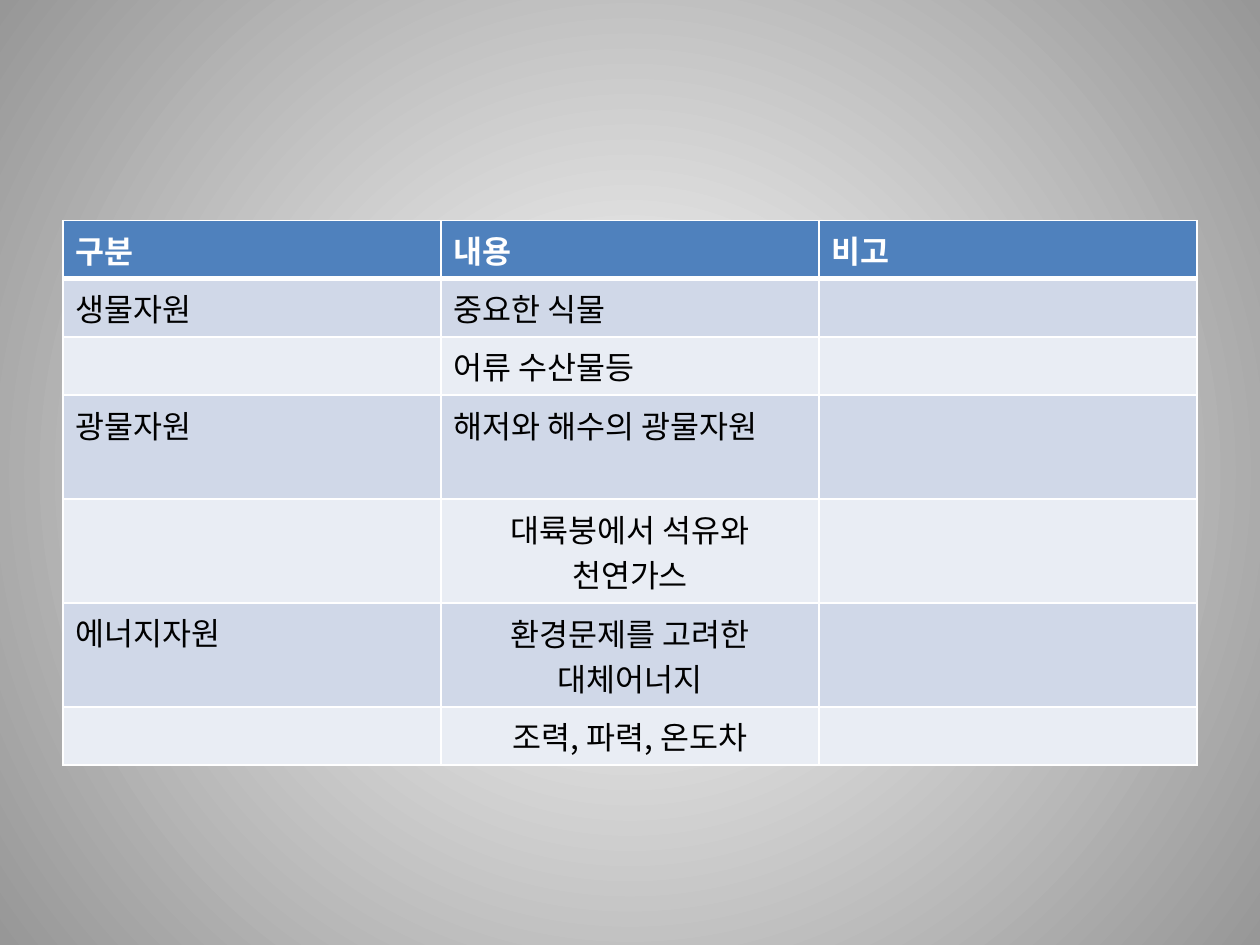
import lxml.etree
import pptx
import pptx.dml.color
import pptx.enum.text
import pptx.oxml.ns
import pptx.util

Pt = pptx.util.Pt
qn = pptx.oxml.ns.qn
RGB = pptx.dml.color.RGBColor.from_string

COLORS = {
    "white": "FFFFFF",
    "edge": "979797",
    "header": "4F81BD",
    "odd": "D0D8E8",
    "even": "E9EDF4",
    "text": "000000",
}
FONT = "Noto Sans CJK KR"
SINGLE, DOUBLE = 33.2, 59.4

resources = [
    ("구분", "내용", "비고"),
    ("생물자원", "중요한 식물", ""),
    ("", "어류 수산물등", ""),
    ("광물자원", "해저와 해수의 광물자원", ""),
    ("", "대륙붕에서 석유와 천연가스", ""),
    ("에너지자원", "환경문제를 고려한 대체어너지", ""),
    ("", "조력, 파력, 온도차", ""),
]
row_heights = [SINGLE] * 3 + [DOUBLE] * 3 + [SINGLE]
first_centered = 4


def add_border(properties, side, width):
    line = lxml.etree.SubElement(properties, qn(f"a:ln{side}"), w=str(Pt(width)))
    fill = lxml.etree.SubElement(line, qn("a:solidFill"))
    lxml.etree.SubElement(fill, qn("a:srgbClr"), val=COLORS["white"])


presentation = pptx.Presentation()
presentation.slide_width, presentation.slide_height = Pt(720), Pt(540)
slide = presentation.slides.add_slide(presentation.slide_layouts[6])

backdrop = slide.background.fill
backdrop.gradient()
for stop, shade in zip(backdrop.gradient_stops, ("white", "edge")):
    stop.color.rgb = RGB(COLORS[shade])
linear = next(slide.element.iter(qn("a:lin")))
radial = lxml.etree.Element(qn("a:path"), {"path": "circle"})
lxml.etree.SubElement(radial, qn("a:fillToRect"), dict.fromkeys("ltrb", "50000"))
linear.getparent().replace(linear, radial)

resource_table = slide.shapes.add_table(
    len(resources), 3, Pt(36), Pt(126), Pt(648), Pt(sum(row_heights))
).table
for column in resource_table.columns:
    column.width = Pt(216)

for r, entries in enumerate(resources):
    resource_table.rows[r].height = Pt(row_heights[r])
    is_header = r == 0
    band = "header" if is_header else "odd" if r % 2 else "even"
    font_format = {"size": Pt(18), "name": FONT, "bold": is_header}
    for c, entry in enumerate(entries):
        cell = resource_table.cell(r, c)
        properties = cell._tc.get_or_add_tcPr()
        widths = {"L": 1, "R": 1, "T": 3 if r == 1 else 1, "B": 3 if is_header else 1}
        for side, width in widths.items():
            add_border(properties, side, width)
        cell.fill.solid()
        cell.fill.fore_color.rgb = RGB(COLORS[band])
        if not entry:
            continue
        paragraph = cell.text_frame.paragraphs[0]
        run = paragraph.add_run()
        run.text = entry
        for attribute, value in font_format.items():
            setattr(run.font, attribute, value)
        run.font.color.rgb = RGB(COLORS["white" if is_header else "text"])
        lxml.etree.SubElement(run._r.get_or_add_rPr(), qn("a:ea"), typeface=FONT)
        if c == 1 and r >= first_centered:
            paragraph.alignment = pptx.enum.text.PP_ALIGN.CENTER
            cell.vertical_anchor = pptx.enum.text.MSO_ANCHOR.MIDDLE

presentation.save("out.pptx")
